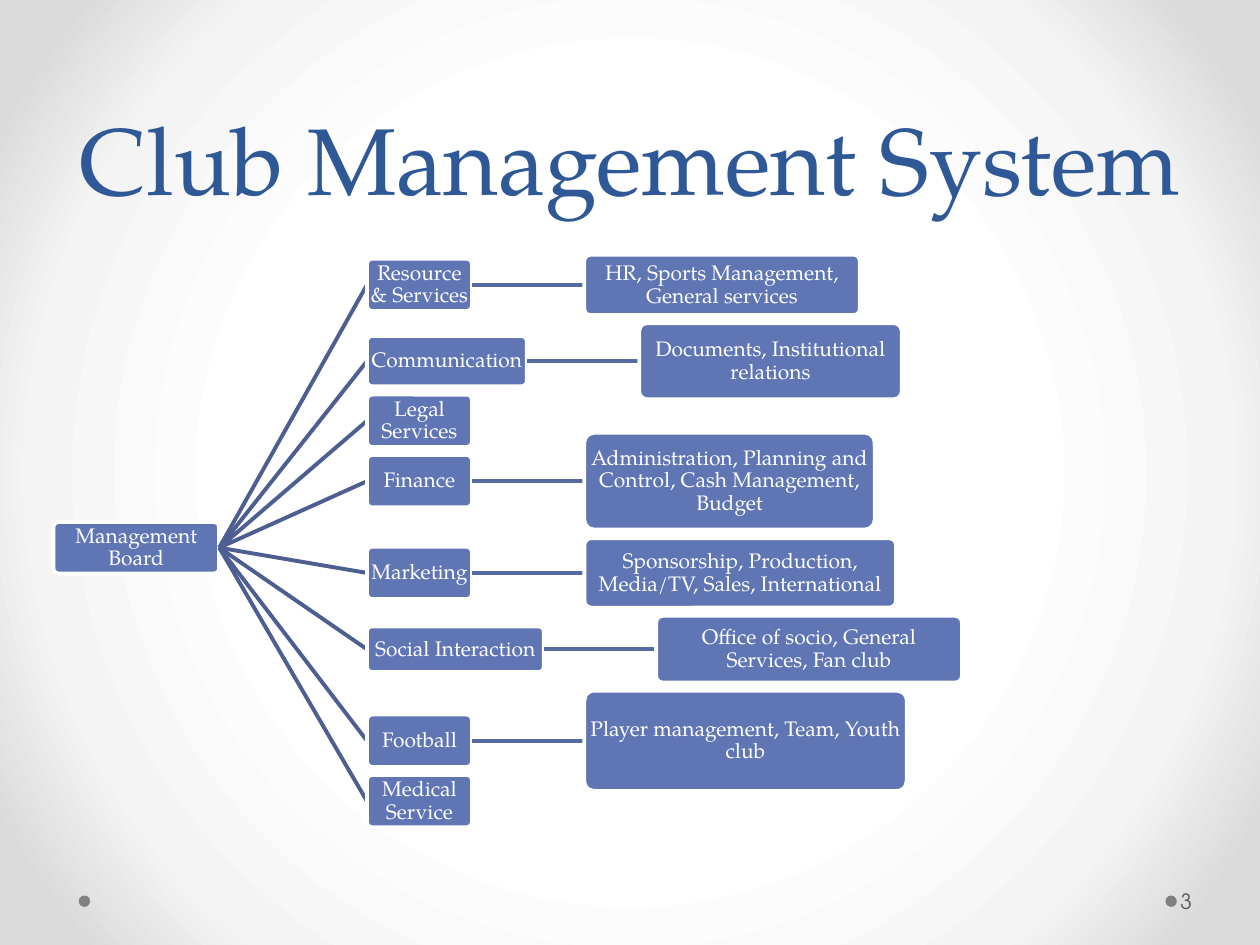
from pptx import Presentation
from pptx.dml.color import RGBColor
from pptx.enum import shapes, text
from pptx.oxml import parse_xml
from pptx.oxml.ns import nsdecls, qn
from pptx.util import Pt

SERIF = "TeX Gyre Pagella"
SANS = "TeX Gyre Adventor"
WHITE = RGBColor(0xFF, 0xFF, 0xFF)
TITLE_BLUE = RGBColor(0x2F, 0x58, 0x97)
BOX_BLUE = RGBColor(0x60, 0x76, 0xB4)
BRANCH_LINE = RGBColor(0x4D, 0x5E, 0x90)
DETAIL_LINE = RGBColor(0x57, 0x6B, 0xA3)
DOT_GREY = RGBColor(0x80, 0x80, 0x80)
NUMBER_GREY = RGBColor(0x59, 0x59, 0x59)
BACKGROUND_STOPS = ((50, "FFFFFF"), (76, "F4F4F4"), (92, "DADADA"))

ROOT_SIZE = (94.8, 29.5)
BRANCH_SIZE = (60, 30)
BRANCH_GAP = 84.4
DETAIL_GAP = 64.2

# Centre below the diagram's top, branch label and size, detail label and size
DEPARTMENTS = (
    (16.8, "Resource & Services", BRANCH_SIZE,
     "HR, Sports Management, General services", (157.5, 34.5)),
    (60.4, "Communication", (91.4, 28.8),
     "Documents, Institutional relations", (150, 43.5)),
    (94.5, "Legal Services", BRANCH_SIZE, None, None),
    (129, "Finance", BRANCH_SIZE,
     "Administration, Planning and Control, Cash Management, Budget", (166, 55.4)),
    (181.4, "Marketing", BRANCH_SIZE,
     "Sponsorship, Production, Media/TV, Sales, International", (178.2, 39.8)),
    (225, "Social Interaction", (101, 26),
     "Office of socio, General Services, Fan club", (174.8, 38.2)),
    (277.3, "Football", BRANCH_SIZE,
     "Player management, Team, Youth club", (184.3, 57.4)),
    (311.8, "Medical Service", BRANCH_SIZE, None, None),
)


def format_run(run, font, size, color):
    run.font.name = font
    run.font.size = Pt(size)
    run.font.color.rgb = color


def set_background(slide):
    """Give the slide a round gradient that darkens towards its corners."""
    stops = "".join(
        f'<a:gs pos="{position * 1000}"><a:srgbClr val="{color}"/></a:gs>'
        for position, color in BACKGROUND_STOPS)
    background = parse_xml(
        f'<p:bg {nsdecls("p", "a")}><p:bgPr><a:gradFill rotWithShape="1">'
        f'<a:gsLst>{stops}</a:gsLst><a:path path="circle">'
        '<a:fillToRect l="50000" t="50000" r="50000" b="50000"/></a:path>'
        '</a:gradFill><a:effectLst/></p:bgPr></p:bg>')
    slide.element.find(qn("p:cSld")).insert(0, background)


def set_title(slide, left, top, width, height):
    title = slide.shapes.title
    title.left, title.top = Pt(left), Pt(top)
    title.width, title.height = Pt(width), Pt(height)
    frame = title.text_frame
    frame.text = "Club Management System"
    frame.vertical_anchor = text.MSO_ANCHOR.BOTTOM
    paragraph = frame.paragraphs[0]
    paragraph.alignment = text.PP_ALIGN.CENTER
    paragraph.line_spacing = Pt(58)
    format_run(paragraph.runs[0], SERIF, 54, TITLE_BLUE)


def add_footer(slide, left, top, width, height):
    """Place a dot at the left, and a dot with the slide number at the right."""
    dot_size, number_width = 6.5, 44
    number_left = left + width - number_width
    for dot_left in (left, number_left - dot_size):
        dot = slide.shapes.add_shape(
            shapes.MSO_SHAPE.OVAL, Pt(dot_left), Pt(top + (height - dot_size) / 2),
            Pt(dot_size), Pt(dot_size))
        dot.shadow.inherit = False
        dot.fill.solid()
        dot.fill.fore_color.rgb = DOT_GREY
        dot.line.fill.background()
    number = slide.shapes.add_textbox(Pt(number_left), Pt(top), Pt(number_width), Pt(height))
    frame = number.text_frame
    frame.word_wrap = True
    frame.margin_left = Pt(2)
    frame.vertical_anchor = text.MSO_ANCHOR.MIDDLE
    frame.text = "3"
    format_run(frame.paragraphs[0].runs[0], SANS, 12, NUMBER_GREY)


def add_box(slide, label, left, middle, size):
    """Add a rounded box whose left side is centred on (left, middle)."""
    width, height = size
    box = slide.shapes.add_shape(
        shapes.MSO_SHAPE.ROUNDED_RECTANGLE,
        Pt(left), Pt(middle - height / 2), Pt(width), Pt(height))
    box.adjustments[0] = 0.1
    box.shadow.inherit = False
    box.fill.solid()
    box.fill.fore_color.rgb = BOX_BLUE
    box.line.color.rgb = WHITE
    box.line.width = Pt(2.25)
    frame = box.text_frame
    frame.word_wrap = True
    frame.margin_left = frame.margin_right = Pt(0.7)
    frame.margin_top = frame.margin_bottom = Pt(0.7)
    frame.vertical_anchor = text.MSO_ANCHOR.MIDDLE
    frame.text = label
    paragraph = frame.paragraphs[0]
    paragraph.alignment = text.PP_ALIGN.CENTER
    paragraph.line_spacing = 0.9
    format_run(paragraph.runs[0], SERIF, 12, WHITE)
    return box


def add_child(slide, parent, label, gap, middle, size, line_color):
    """Add a box to the right of its parent, with the line to it underneath."""
    connector = slide.shapes.add_connector(shapes.MSO_CONNECTOR.STRAIGHT, 0, 0, 0, 0)
    connector.line.color.rgb = line_color
    connector.line.width = Pt(2.25)
    connector.element.spPr.append(parse_xml(f'<a:effectLst {nsdecls("a")}/>'))
    parent_right = (parent.left + parent.width) / Pt(1)
    child = add_box(slide, label, parent_right + gap, middle, size)
    connector.begin_connect(parent, 3)
    connector.end_connect(child, 1)
    return child


def add_management_tree(slide, left, top, height):
    root = add_box(slide, "Management Board", left, top + height / 2, ROOT_SIZE)
    for centre, branch_label, branch_size, detail_label, detail_size in DEPARTMENTS:
        middle = top + centre
        branch = add_child(slide, root, branch_label, BRANCH_GAP, middle,
                           branch_size, BRANCH_LINE)
        if detail_label:
            add_child(slide, branch, detail_label, DETAIL_GAP, middle,
                      detail_size, DETAIL_LINE)


def main():
    presentation = Presentation()
    presentation.slide_width, presentation.slide_height = Pt(720), Pt(540)
    slide = presentation.slides.add_slide(presentation.slide_layouts[5])
    set_background(slide)
    set_title(slide, left=36, top=0, width=648, height=126)
    add_footer(slide, left=45, top=500.5, width=671.5, height=29)
    add_management_tree(slide, left=30.5, top=146, height=334)
    presentation.save("out.pptx")


if __name__ == "__main__":
    main()
